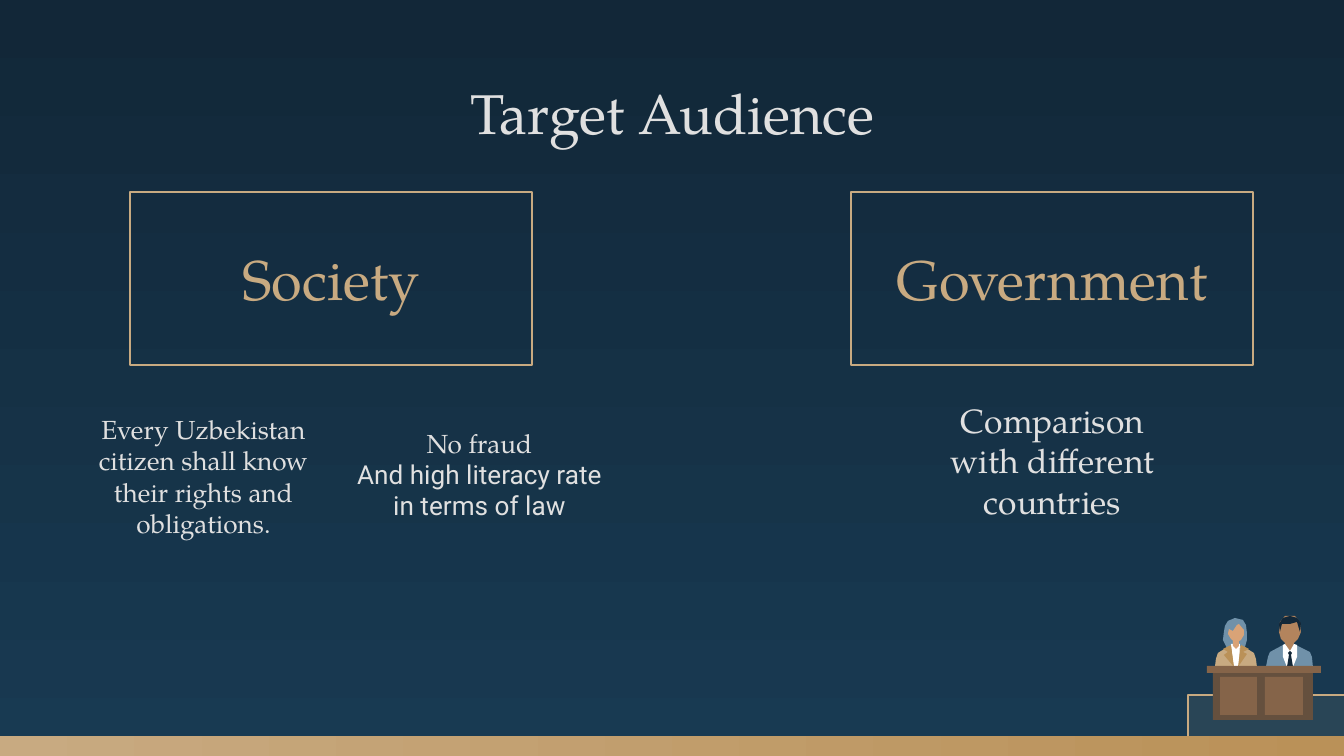
"""Build the Target Audience slide with two framed groups and a speakers' desk."""
from lxml import etree
from pptx import Presentation
from pptx import util as u
from pptx.dml import color
from pptx.enum import shapes, text
from pptx.oxml import ns

PX = u.Inches(10) / 1344
SERIF, SANS = "TeX Gyre Pagella", "Roboto"
GOLD, DARK_GOLD, PALE, WHITE = "C8AA81", "BA9158", "E0E0E0", "FFFFFF"
NAVY, DEEP_BLUE, BLUE = "122738", "183A52", "7091A9"
BROWN, DARK_BROWN, SKIN, TAN = "856449", "65503E", "D9A377", "B3845D"


def rgb(value):
    return color.RGBColor.from_string(value)


def add_rectangle(box, fill=None, line=None):
    left, top, width, height = (round(length * PX) for length in box)
    shape = slide.shapes.add_shape(shapes.MSO_SHAPE.RECTANGLE, left, top, width, height)
    shape.shadow.inherit = False
    if fill:
        shape.fill.solid()
        shape.fill.fore_color.rgb = rgb(fill)
    else:
        shape.fill.background()
    if line:
        shape.line.color.rgb = rgb(line)
        shape.line.width = u.Pt(0.75)
    else:
        shape.line.fill.background()
    return shape


presentation = Presentation()
presentation.slide_width = round(1344 * PX)
presentation.slide_height = round(756 * PX)
slide = presentation.slides.add_slide(presentation.slide_layouts[6])

panel = add_rectangle((1188, 695, 158, 62), GOLD, GOLD)
panel_color = panel.fill._xPr.find(ns.qn("a:solidFill"))[0]
etree.SubElement(panel_color, ns.qn("a:alpha"), val="10000")

figures = [
    (TAN, [(1285, 616), (1295, 616), (1300, 622), (1301, 632), (1298, 639), (1294, 643),
           (1294, 646), (1290, 652), (1285, 646), (1285, 643), (1281, 639), (1279, 632),
           (1280, 622)]),
    (BLUE, [(1285, 644), (1270, 652), (1268, 657), (1266, 667), (1313, 667), (1312, 657),
            (1310, 652), (1294, 644), (1290, 652)]),
    (NAVY, [(1282, 624), (1290, 624), (1297, 622), (1300, 632), (1301, 623), (1297, 618),
            (1290, 616), (1283, 618), (1279, 624), (1280, 632)]),
    (WHITE, [(1285, 644), (1283, 645), (1283, 657), (1287, 667), (1293, 667), (1297, 657),
             (1297, 645), (1294, 644), (1290, 651)]),
    (NAVY, [(1290, 651), (1288, 653), (1289, 655), (1287, 667), (1293, 667), (1291, 655),
            (1292, 653)]),
    (GOLD, [(1231, 645), (1218, 653), (1216, 659), (1215, 667), (1257, 667), (1256, 659),
            (1254, 653), (1241, 645)]),
    (BLUE, [(1235, 618), (1228, 621), (1225, 626), (1224, 632), (1223, 640), (1227, 648),
            (1236, 645), (1245, 647), (1247, 640), (1247, 633), (1246, 625), (1243, 620)]),
    (WHITE, [(1231, 644), (1240, 644), (1239, 667), (1234, 667)]),
    (SKIN, [(1233, 638), (1239, 638), (1239, 646), (1236, 649), (1233, 646)]),
    (SKIN, [(1239, 624), (1237, 625), (1233, 631), (1229, 629), (1228, 634), (1231, 639),
            (1236, 643), (1241, 640), (1244, 635), (1244, 630)]),
    (DARK_GOLD, [(1231, 645), (1223, 649), (1228, 652), (1224, 655), (1234, 667)]),
    (DARK_GOLD, [(1241, 645), (1249, 649), (1243, 652), (1247, 654), (1238, 667)]),
]
for fill, points in figures:
    builder = slide.shapes.build_freeform(*points[0], scale=PX)
    builder.add_line_segments(points[1:], close=True)
    shape = builder.convert_to_shape()
    shape.shadow.inherit = False
    shape.fill.solid()
    shape.fill.fore_color.rgb = rgb(fill)
    shape.line.fill.background()

for box, fill in [((1213, 671, 100, 49), DARK_BROWN), ((1220, 677, 37, 38), BROWN),
                  ((1265, 677, 38, 38), BROWN), ((1207, 666, 114, 7), BROWN)]:
    add_rectangle(box, fill)

floor = add_rectangle((0, 736, 1344, 20))
for fill, angle, stops in [(slide.background.fill, 270, (NAVY, DEEP_BLUE)),
                           (floor.fill, 0, (GOLD, DARK_GOLD))]:
    fill.gradient()
    fill.gradient_angle = angle
    for position, (stop, value) in enumerate(zip(fill.gradient_stops, stops)):
        stop.color.rgb = rgb(value)
        stop.position = position

TOP, MIDDLE, BOTTOM = text.MSO_ANCHOR.TOP, text.MSO_ANCHOR.MIDDLE, text.MSO_ANCHOR.BOTTOM
blocks = [
    ((106, 66, 1133, 85), None, TOP, 30, PALE, [("Target Audience", SERIF)]),
    ((65, 390, 277, 162), None, BOTTOM, 14, PALE,
     [("Every Uzbekistan citizen shall know their rights and obligations.", SERIF)]),
    ((341, 414, 277, 114), None, TOP, 14, PALE,
     [("No fraud", SERIF), ("And high literacy rate in terms of law", SANS)]),
    ((914, 390, 277, 144), None, BOTTOM, 18, PALE,
     [("Comparison with different countries", SERIF)]),
    ((130, 192, 402, 173), GOLD, MIDDLE, 30, GOLD, [("Society", SERIF)]),
    ((851, 192, 402, 173), GOLD, MIDDLE, 30, GOLD, [("Government", SERIF)]),
]
for box, line, anchor, size, text_color, paragraphs in blocks:
    if line:
        shape = add_rectangle(box, line=line)
    else:
        shape = slide.shapes.add_textbox(*(round(length * PX) for length in box))
    frame = shape.text_frame
    frame_format = {"word_wrap": True, "vertical_anchor": anchor}
    for side in ("left", "top", "right", "bottom"):
        frame_format[f"margin_{side}"] = round(13 * PX)
    for name, value in frame_format.items():
        setattr(frame, name, value)
    for index, (words, font_name) in enumerate(paragraphs):
        paragraph = frame.add_paragraph() if index else frame.paragraphs[0]
        paragraph.text = words
        paragraph.alignment = text.PP_ALIGN.CENTER
        for name, value in {"name": font_name, "size": u.Pt(size)}.items():
            setattr(paragraph.font, name, value)
        paragraph.font.color.rgb = rgb(text_color)

presentation.save("out.pptx")
